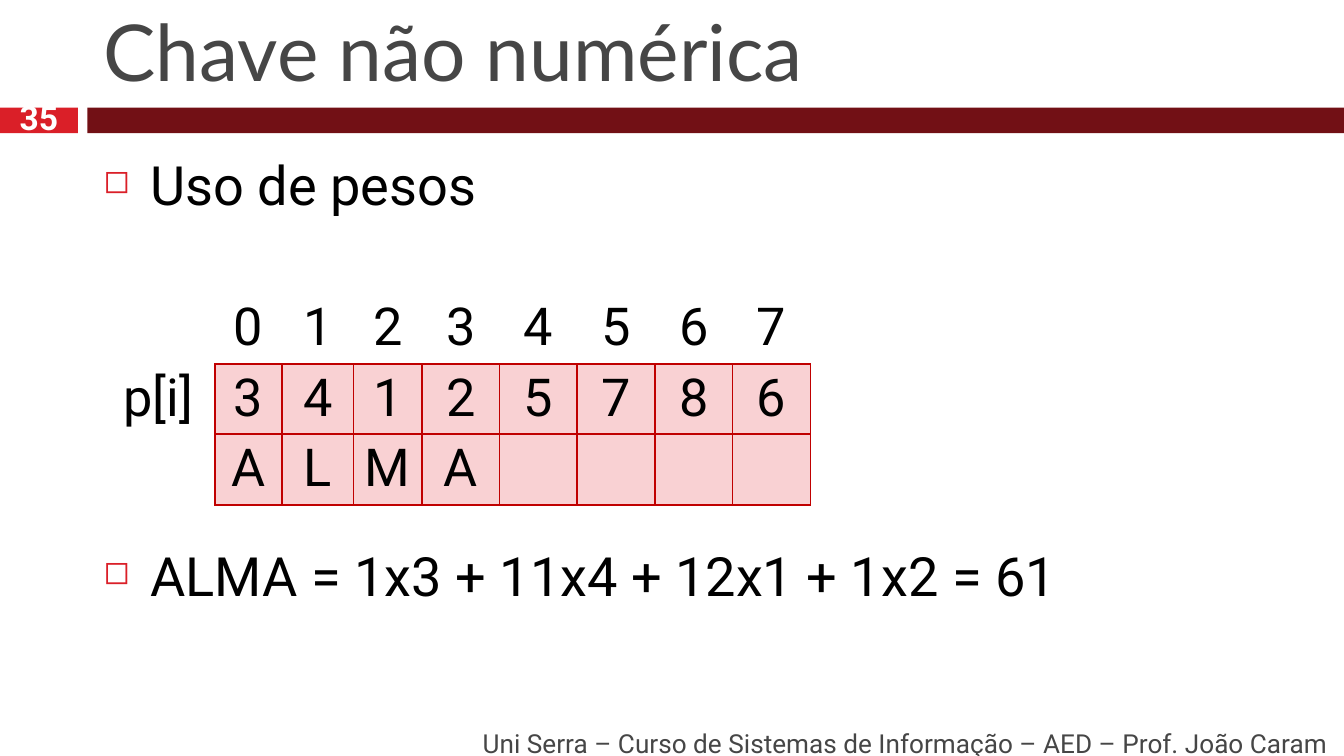
"""Build the slide on hashing a non-numeric key with positional weights."""
from dataclasses import dataclass

from lxml import etree
from pptx import Presentation
from pptx.dml.color import RGBColor
from pptx.enum.shapes import MSO_SHAPE
from pptx.enum.text import MSO_ANCHOR, MSO_AUTO_SIZE, PP_ALIGN
from pptx.oxml.ns import qn
from pptx.util import Inches, Pt

RECTANGLE = MSO_SHAPE.RECTANGLE
TOP, MIDDLE, BOTTOM = MSO_ANCHOR.TOP, MSO_ANCHOR.MIDDLE, MSO_ANCHOR.BOTTOM
LEFT, CENTER, RIGHT = PP_ALIGN.LEFT, PP_ALIGN.CENTER, PP_ALIGN.RIGHT
NO_AUTOFIT = MSO_AUTO_SIZE.NONE


@dataclass(frozen=True)
class TextStyle:
    size: float
    color: str
    font: str = "Roboto"
    bold: bool = False


@dataclass(frozen=True)
class Theme:
    accent: str = "DA1F28"
    band: str = "721015"
    cell: str = "F9D1D3"
    border: str = "C00000"
    title: TextStyle = TextStyle(42, "464646", "Lato")
    body: TextStyle = TextStyle(29, "000000")
    table: TextStyle = TextStyle(28, "000000")
    footer: TextStyle = TextStyle(14, "464646")
    number: TextStyle = TextStyle(18, "FFFFFF", bold=True)


@dataclass(frozen=True)
class Box:
    left: float
    top: float
    width: float
    height: float

    def lengths(self) -> tuple:
        return tuple(Inches(v) for v in (self.left, self.top, self.width, self.height))


@dataclass(frozen=True)
class Bar:
    box: Box
    color: str


@dataclass(frozen=True)
class Label:
    box: Box
    text: str
    style: TextStyle
    align: PP_ALIGN


@dataclass(frozen=True)
class Topic:
    text: str
    space_before: float


THEME = Theme()
BARS = (
    Bar(Box(0, 0.8, 0.58, 0.19), THEME.accent),
    Bar(Box(0.65, 0.8, 9.35, 0.19), THEME.band),
)
LABELS = (
    Label(
        Box(1.06, 5.38, 8.92, 0.3),
        "Uni Serra – Curso de Sistemas de Informação – AED – Prof. João Caram",
        THEME.footer,
        RIGHT,
    ),
    Label(Box(0, 0.77, 0.58, 0.2), "35", THEME.number, CENTER),
)
TOPICS = (
    Topic("Uso de pesos", 7),
    Topic("ALMA = 1x3 + 11x4 + 12x1 + 1x2 = 61", 174.5),
)
WEIGHT_ROWS = (
    ("", "0", "1", "2", "3", "4", "5", "6", "7"),
    ("p[i]", "3", "4", "1", "2", "5", "7", "8", "6"),
    ("", "A", "L", "M", "A", "", "", "", ""),
)
COLUMN_WIDTHS = (0.84, 0.5, 0.53, 0.51, *[2.89 / 5] * 5)
ROW_HEIGHTS = (0.53, 0.52, 0.53)


def add_run(paragraph, text: str, style: TextStyle) -> None:
    """Append one styled run."""
    run = paragraph.add_run()
    run.text = text
    run.font.size = Pt(style.size)
    run.font.name = style.font
    run.font.bold = style.bold
    run.font.color.rgb = RGBColor.from_string(style.color)


def prepare_frame(frame, anchor: MSO_ANCHOR) -> None:
    """Give a text frame fixed size, wrapping and an anchor."""
    frame.auto_size = NO_AUTOFIT
    frame.word_wrap = True
    frame.vertical_anchor = anchor


def add_title(slide, text: str) -> None:
    """Place and fill the title placeholder."""
    title = slide.shapes.title
    title.left, title.top, title.width, title.height = Box(0.67, 0.13, 9.22, 0.64).lengths()
    prepare_frame(title.text_frame, BOTTOM)
    paragraph = title.text_frame.paragraphs[0]
    paragraph.alignment = LEFT
    add_run(paragraph, text, THEME.title)


def add_bar(slide, bar: Bar) -> None:
    """Draw a plain coloured bar."""
    shape = slide.shapes.add_shape(RECTANGLE, *bar.box.lengths())
    shape.shadow.inherit = False
    shape.fill.solid()
    shape.fill.fore_color.rgb = RGBColor.from_string(bar.color)
    shape.line.fill.background()


def add_label(slide, label: Label) -> None:
    """Add a one-line text box."""
    frame = slide.shapes.add_textbox(*label.box.lengths()).text_frame
    prepare_frame(frame, MIDDLE)
    paragraph = frame.paragraphs[0]
    paragraph.alignment = label.align
    add_run(paragraph, label.text, label.style)


def set_bullet(paragraph) -> None:
    """Give a paragraph a hanging square bullet."""
    properties = paragraph._p.get_or_add_pPr()
    properties.set("marL", str(Inches(0.35)))
    properties.set("indent", str(-Inches(0.35)))
    color = etree.SubElement(properties, qn("a:buClr"))
    etree.SubElement(color, qn("a:srgbClr"), val=THEME.accent)
    etree.SubElement(properties, qn("a:buSzPct"), val="60000")
    etree.SubElement(properties, qn("a:buChar"), char="◻")


def add_topics(slide, topics: tuple[Topic, ...]) -> None:
    """Add the bulleted topics around the table."""
    frame = slide.shapes.add_textbox(*Box(0.67, 1.08, 9.22, 4.25).lengths()).text_frame
    prepare_frame(frame, TOP)
    for index, topic in enumerate(topics):
        paragraph = frame.add_paragraph() if index else frame.paragraphs[0]
        paragraph.space_before = Pt(topic.space_before)
        set_bullet(paragraph)
        add_run(paragraph, topic.text, THEME.body)


def set_borders(cell, sides: str) -> None:
    """Draw the named sides of a cell and hide the others."""
    properties = cell._tc.get_or_add_tcPr()
    for position, side in enumerate("LRTB"):
        line = etree.Element(qn(f"a:ln{side}"), w=str(Pt(1)))
        if side in sides:
            fill = etree.SubElement(line, qn("a:solidFill"))
            etree.SubElement(fill, qn("a:srgbClr"), val=THEME.border)
        else:
            etree.SubElement(line, qn("a:noFill"))
        properties.insert(position, line)


def format_cell(cell, text: str, row: int, column: int) -> None:
    """Fill, outline and write one cell by its place in the grid."""
    cell.margin_left = cell.margin_right = Inches(0.07)
    cell.margin_top, cell.margin_bottom = Inches(0.05), Inches(0.03)
    if row and column:
        cell.fill.solid()
        cell.fill.fore_color.rgb = RGBColor.from_string(THEME.cell)
        set_borders(cell, "LRTB")
    else:
        cell.fill.background()
        set_borders(cell, "B" if column else "R" if row else "")
    if text:
        paragraph = cell.text_frame.paragraphs[0]
        paragraph.alignment = CENTER
        paragraph.line_spacing = 0.93
        add_run(paragraph, text, THEME.table)


def add_weight_table(slide) -> None:
    """Add the table of positions, weights and letters."""
    box = Box(0.76, 2.18, sum(COLUMN_WIDTHS), sum(ROW_HEIGHTS))
    table = slide.shapes.add_table(len(ROW_HEIGHTS), len(COLUMN_WIDTHS), *box.lengths()).table
    table.first_row = table.horz_banding = False
    for column, width in zip(table.columns, COLUMN_WIDTHS):
        column.width = Inches(width)
    for row, height in zip(table.rows, ROW_HEIGHTS):
        row.height = Inches(height)
    for r, texts in enumerate(WEIGHT_ROWS):
        for c, text in enumerate(texts):
            format_cell(table.cell(r, c), text, r, c)


def main() -> None:
    """Build and save the presentation."""
    deck = Presentation()
    deck.slide_width, deck.slide_height = Inches(10), Inches(10 * 9 / 16)
    slide = deck.slides.add_slide(deck.slide_layouts[5])
    for bar in BARS:
        add_bar(slide, bar)
    add_title(slide, "Chave não numérica")
    add_topics(slide, TOPICS)
    for label in LABELS:
        add_label(slide, label)
    add_weight_table(slide)
    deck.save("out.pptx")


if __name__ == "__main__":
    main()
